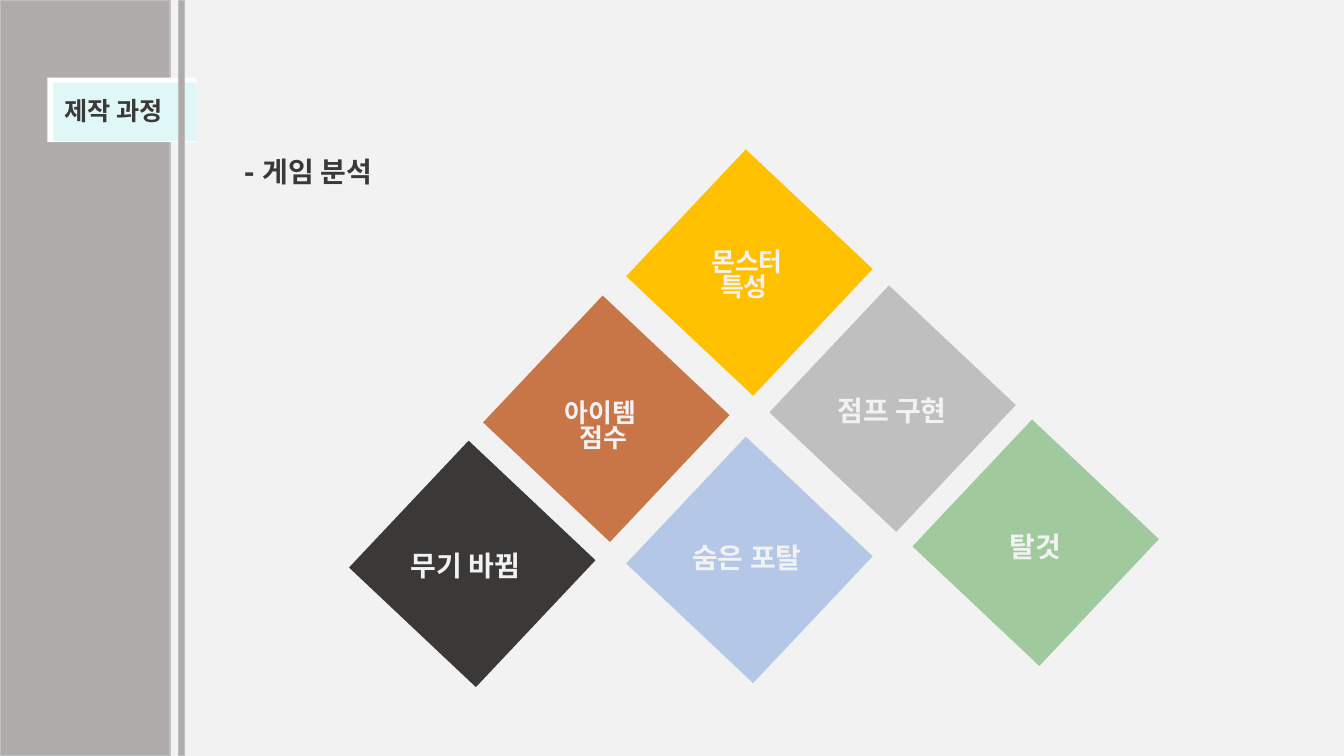
import pptx
import pptx.dml.color
import pptx.enum.shapes
import pptx.enum.text
import pptx.util

Pt = pptx.util.Pt
ALIGN = pptx.enum.text.PP_ALIGN
FONT = "Montserrat"
INK = "3B3838"
PAPER = "F2F2F2"
BAR = "AFABAB"
TILE_SIDE = 124.56
TILE_TURN = 43.3


def colour(value):
    return pptx.dml.color.RGBColor.from_string(value)


def add_block(slide, box, fill, outline=None):
    block = slide.shapes.add_shape(
        pptx.enum.shapes.MSO_SHAPE.RECTANGLE, *[Pt(length) for length in box]
    )
    block.shadow.inherit = False
    block.fill.solid()
    block.fill.fore_color.rgb = colour(fill)
    if outline:
        block.line.color.rgb = colour(outline)
        block.line.width = Pt(1)
    else:
        block.line.fill.background()
    return block


def write(holder, box, lines, size, ink, align=ALIGN.CENTER, spacing=0.9):
    holder.left, holder.top, holder.width, holder.height = [Pt(length) for length in box]
    frame = holder.text_frame
    frame.word_wrap = True
    frame.auto_size = pptx.enum.text.MSO_AUTO_SIZE.NONE
    frame.vertical_anchor = pptx.enum.text.MSO_ANCHOR.BOTTOM
    for index, line in enumerate(lines):
        paragraph = frame.add_paragraph() if index else frame.paragraphs[0]
        paragraph.alignment = align
        paragraph.line_spacing = spacing
        paragraph.space_before = Pt(0)
        run = paragraph.add_run()
        run.text = line
        run.font.name = FONT
        run.font.size = Pt(size)
        run.font.bold = True
        run.font.color.rgb = colour(ink)


def bring_to_front(holder):
    holder.element.getparent().append(holder.element)


def add_sidebar(slide, box):
    left, top, width, height = box
    add_block(slide, (left, top, 121.5, height), BAR, "BFBFBF")
    add_block(slide, (left + 33.84, top + 55.44, 106.56, 46.08), "FFFFFF")
    add_block(slide, (left + 38.16, top + 59.04, 102.24, 41.76), "DFF7F6")
    add_block(slide, (left + 127.4, top, 4.32, height), BAR, "BFBFBF")
    section = slide.shapes.title
    write(section, (left + 30.24, top + 59.04, 102.24, 34.56), ["제작 과정"], 18, INK)
    bring_to_front(section)


def add_topic(slide, box):
    topic = slide.placeholders[1]
    write(topic, box, ["- 게임 분석"], 20, INK, ALIGN.LEFT)
    properties = topic.text_frame.paragraphs[0].runs[0].text and topic.text_frame.paragraphs[0]._p.get_or_add_pPr()
    properties.set("marL", "0")
    properties.set("indent", "0")
    properties.append(
        pptx.oxml.parse_xml(
            '<a:buNone xmlns:a="http://schemas.openxmlformats.org/drawingml/2006/main"/>'
        )
    )
    bring_to_front(topic)


def add_tile(slide, box, fill, lines, shift, label_size):
    left, top, side, _ = box
    tile = add_block(slide, box, fill)
    tile.rotation = TILE_TURN
    width, height = label_size
    label_box = (
        left + (side - width) / 2 + shift[0],
        top + (side - height) / 2 + shift[1],
        width,
        height,
    )
    label = slide.shapes.add_textbox(*[Pt(length) for length in label_box])
    stacked = len(lines) > 1
    write(label, label_box, lines, 18.5 if stacked else 20, PAPER, spacing=0.8 if stacked else 0.9)


def add_pyramid(slide, box):
    left, top, _, _ = box
    single = (102.24, 34.56)
    tiles = [
        (198, 0, "FFC000", ["몬스터", "특성 "], (-1.8, 0.4), (99.36, 47.52)),
        (300.24, 97.2, "BFBFBF", ["점프 구현"], (-0.4, -0.4), single),
        (0, 208.08, INK, ["무기 바뀜"], (-4.7, -0.4), single),
        (402.48, 192.96, "A0C99D", ["탈것"], (-0.4, 1.1), single),
        (95.76, 104.4, "C87648", ["아이템 ", "점수"], (-2.2, 5.8), (84.24, 43.92)),
        (198, 205.2, "B4C7E7", ["숨은 포탈"], (-1.8, -3.2), single),
    ]
    for across, down, fill, lines, shift, label_size in tiles:
        tile_box = (left + across, top + down, TILE_SIDE, TILE_SIDE)
        add_tile(slide, tile_box, fill, lines, shift, label_size)


def main():
    deck = pptx.Presentation()
    deck.slide_width, deck.slide_height = Pt(960), Pt(540)
    slide = deck.slides.add_slide(deck.slide_layouts[1])
    slide.background.fill.solid()
    slide.background.fill.fore_color.rgb = colour(PAPER)
    add_pyramid(slide, (275.04, 132.48, 527.04, 332.64))
    add_sidebar(slide, (0, 0, 142, 540))
    add_topic(slide, (167.04, 102.96, 187.2, 35.28))
    deck.save("out.pptx")


if __name__ == "__main__":
    main()
